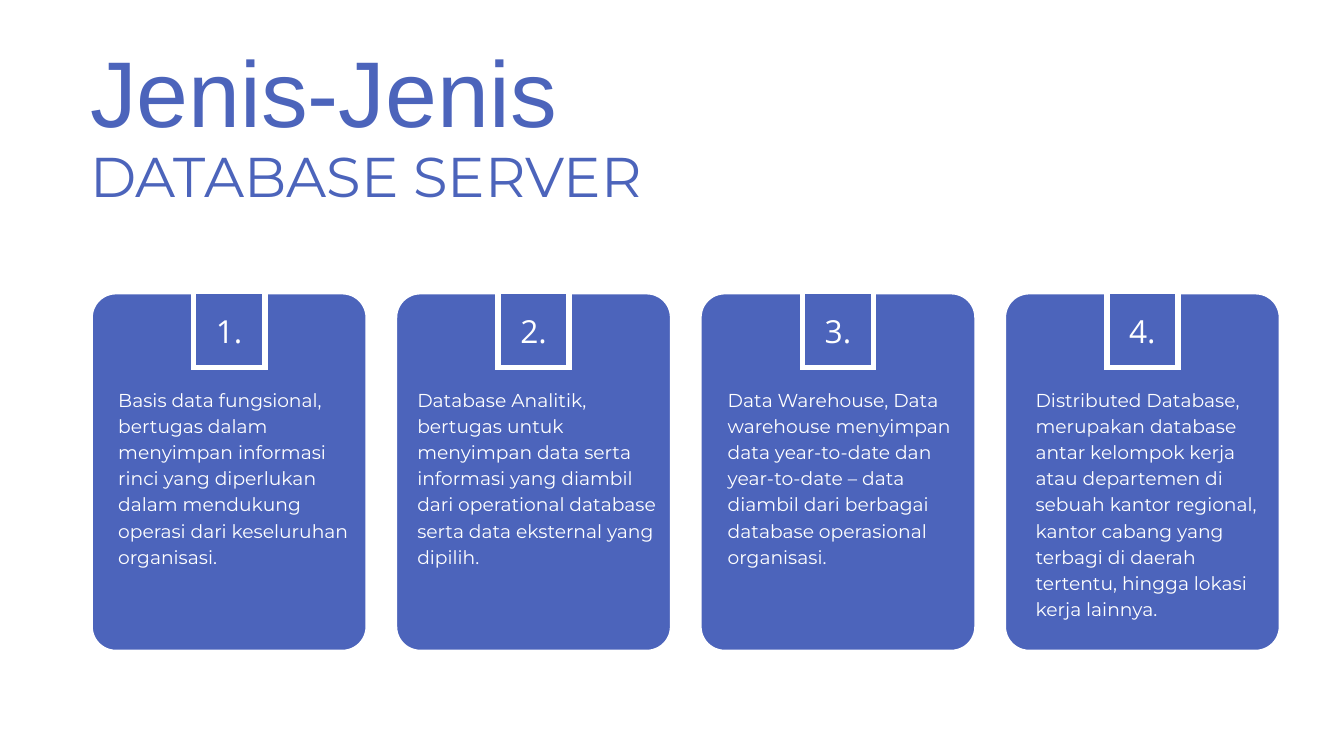
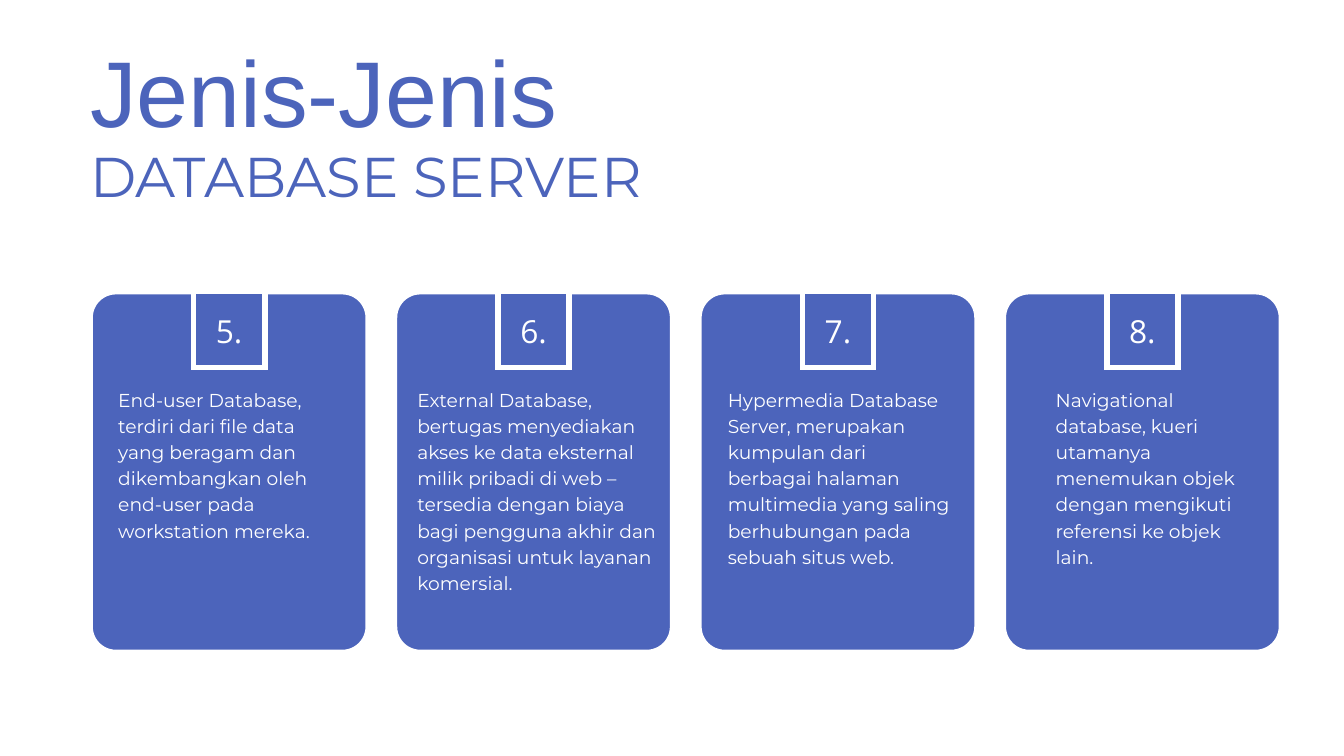
import pptx
import pptx.dml.color
import pptx.enum.shapes
import pptx.enum.text
import pptx.oxml.ns
import pptx.util
from lxml import etree

Inches = pptx.util.Inches
Pt = pptx.util.Pt
Align = pptx.enum.text.PP_ALIGN
Preset = pptx.enum.shapes.MSO_SHAPE

BLUE = pptx.dml.color.RGBColor(0x4C, 0x64, 0xBB)
WHITE = pptx.dml.color.RGBColor(0xFF, 0xFF, 0xFF)

MARGIN = 1.34
CARD_TOP, CARD_STEP = 4.34, 4.53
CARD_WIDTH, CARD_HEIGHT = 4.14, 5.37
CORNER = 0.385
TAB_WIDTH, TAB_HEIGHT = 1.06, 1.13
NUMBER_WIDTH = 0.41

# Each card: description, its inset from the card edge, its width
DATABASE_TYPES = [
    [
        ("Basis data fungsional, bertugas dalam menyimpan informasi rinci yang "
         "diperlukan dalam mendukung operasi dari keseluruhan organisasi.", 0.42, 3.67),
        ("Database Analitik, bertugas untuk menyimpan data serta informasi yang diambil "
         "dari operational database serta data eksternal yang dipilih.", 0.34, 3.67),
        ("Data Warehouse, Data warehouse menyimpan data year-to-date dan year-to-date – "
         "data diambil dari berbagai database operasional organisasi.", 0.43, 3.67),
        ("Distributed Database, merupakan database antar kelompok kerja atau departemen "
         "di sebuah kantor regional, kantor cabang yang terbagi di daerah tertentu, "
         "hingga lokasi kerja lainnya.", 0.48, 3.42),
    ],
    [
        ("End-user Database, terdiri dari file data yang beragam dan dikembangkan oleh "
         "end-user pada workstation mereka.", 0.42, 3.27),
        ("External Database, bertugas menyediakan akses ke data eksternal milik pribadi "
         "di web – tersedia dengan biaya bagi pengguna akhir dan organisasi untuk "
         "layanan komersial.", 0.34, 3.67),
        ("Hypermedia Database Server, merupakan kumpulan dari berbagai halaman multimedia "
         "yang saling berhubungan pada sebuah situs web.", 0.43, 3.35),
        ("Navigational database, kueri utamanya menemukan objek dengan mengikuti "
         "referensi ke objek lain.", 0.78, 2.95),
    ],
]


def write(shape, text, *, font, size, leading, color=WHITE, align=Align.LEFT):
    frame = shape.text_frame
    frame.margin_left = frame.margin_right = frame.margin_top = frame.margin_bottom = 0
    frame.word_wrap = True
    frame.auto_size = pptx.enum.text.MSO_AUTO_SIZE.NONE
    frame.vertical_anchor = pptx.enum.text.MSO_ANCHOR.TOP
    paragraph = frame.paragraphs[0]
    paragraph.alignment = align
    paragraph.line_spacing = Pt(leading)
    paragraph.space_before = Pt(0)
    run = paragraph.add_run()
    run.text = text
    run.font.name = font
    run.font.size = Pt(size)
    run.font.color.rgb = color


def place(shape, left, top, width, height):
    shape.left, shape.top = Inches(left), Inches(top)
    shape.width, shape.height = Inches(width), Inches(height)


def add_text(slide, text, left, top, width, height, **style):
    box = slide.shapes.add_textbox(Inches(left), Inches(top), Inches(width), Inches(height))
    write(box, text, **style)


def add_panel(slide, preset, left, top, width, height):
    panel = slide.shapes.add_shape(
        preset, Inches(left), Inches(top), Inches(width), Inches(height))
    panel.shadow.inherit = False
    panel.fill.solid()
    panel.fill.fore_color.rgb = BLUE
    panel.line.color.rgb = WHITE
    panel.line.width = Pt(6)
    outline = panel.line._get_or_add_ln()
    etree.SubElement(outline, pptx.oxml.ns.qn("a:miter"), lim="800000")
    return panel


def add_heading(slide, left, top):
    title, subtitle = slide.placeholders
    place(title, left, top, 7.39, 1.52)
    write(title, "Jenis-Jenis", font="Arial", size=100, leading=106, color=BLUE)
    place(subtitle, left, top + 1.57, 11.13, 0.89)
    write(subtitle, "DATABASE SERVER", font="Montserrat", size=60, leading=60, color=BLUE)


def add_card(slide, left, top, number, description, inset, text_width):
    card = add_panel(slide, Preset.ROUNDED_RECTANGLE, left, top, CARD_WIDTH, CARD_HEIGHT)
    card.adjustments[0] = CORNER / CARD_WIDTH
    add_panel(slide, Preset.RECTANGLE, left + (CARD_WIDTH - TAB_WIDTH) / 2, top,
              TAB_WIDTH, TAB_HEIGHT)
    add_text(slide, f"{number}.", left + (CARD_WIDTH - NUMBER_WIDTH) / 2, top + 0.21,
             NUMBER_WIDTH, 0.63, font="Open Sans", size=34, leading=47.6, align=Align.CENTER)
    add_text(slide, description, left + inset, top + 1.39, text_width, 3.47,
             font="Montserrat", size=20, leading=28)


def add_types_slide(deck, cards, first_number):
    slide = deck.slides.add_slide(deck.slide_layouts[0])
    add_heading(slide, MARGIN, 0.7)
    for column, card in enumerate(cards):
        add_card(slide, MARGIN + column * CARD_STEP, CARD_TOP, first_number + column, *card)


def main():
    deck = pptx.Presentation()
    deck.slide_width, deck.slide_height = Inches(20), Inches(11.25)
    first_number = 1
    for cards in DATABASE_TYPES:
        add_types_slide(deck, cards, first_number)
        first_number += len(cards)
    deck.save("out.pptx")


if __name__ == "__main__":
    main()
